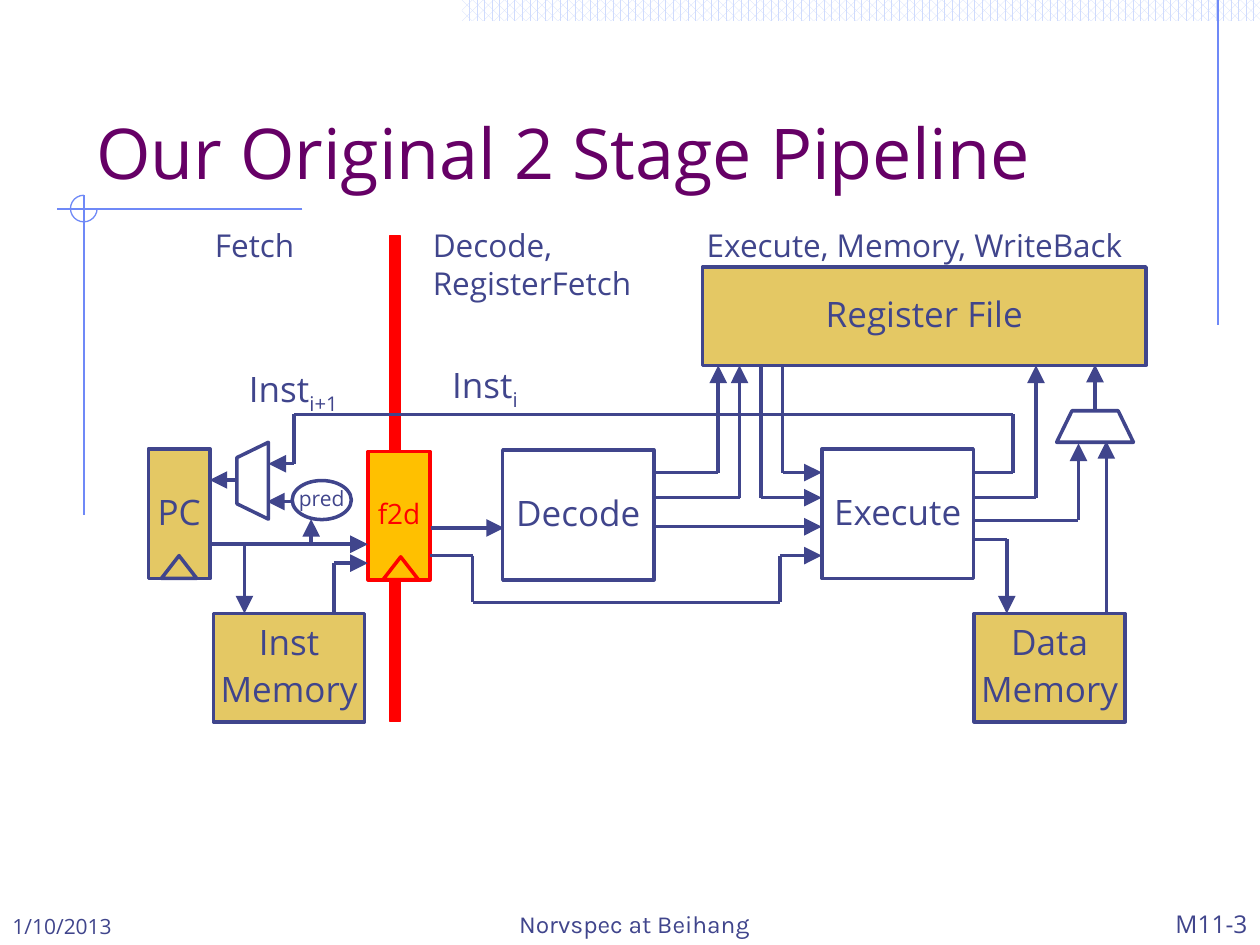
from lxml import etree
from pptx import Presentation
from pptx.dml.color import RGBColor
from pptx.enum.dml import MSO_PATTERN
from pptx.enum.shapes import MSO_CONNECTOR, MSO_SHAPE
from pptx.enum.text import MSO_ANCHOR, PP_ALIGN
from pptx.oxml.ns import qn
from pptx.util import Pt

RECT, OVAL, ARC = MSO_SHAPE.RECTANGLE, MSO_SHAPE.OVAL, MSO_SHAPE.ARC
TRI, MUX = MSO_SHAPE.ISOSCELES_TRIANGLE, MSO_SHAPE.FLOWCHART_MANUAL_OPERATION
STRAIGHT, HATCH = MSO_CONNECTOR.STRAIGHT, MSO_PATTERN.PERCENT_60
TOP, MIDDLE, BOTTOM = MSO_ANCHOR.TOP, MSO_ANCHOR.MIDDLE, MSO_ANCHOR.BOTTOM
LEFT, CENTER, RIGHT = PP_ALIGN.LEFT, PP_ALIGN.CENTER, PP_ALIGN.RIGHT
INK, GOLD, RED, AMBER = "40458C", "E4C864", "FF0000", "FFC000"
WHITE, PALE, BLUE, PLUM = "FFFFFF", "CFDBFD", "6F89F7", "660066"
SANS = "Open Sans"

BLOCKS = [
    (RECT, (84.8, 256.5, 35.3, 74.2), GOLD, INK, "PC", 20),
    (RECT, (287.3, 257.2, 86.4, 74.2), None, INK, "Decode", 20),
    (RECT, (401.5, 152.6, 253.4, 56.2), GOLD, INK, "Register File", 20),
    (RECT, (469.8, 256.5, 86.4, 74.2), None, INK, "Execute", 20),
    (RECT, (556.6, 350.6, 86.4, 61.9), GOLD, INK, "Data\nMemory", 20),
    (RECT, (122, 350.6, 86.4, 61.9), GOLD, INK, "Inst\nMemory", 20),
    (OVAL, (167, 274.6, 33.8, 22.3), None, INK, "pred", 12),
    (RECT, (210.4, 258, 35.3, 73.4), AMBER, RED, "f2d", 16),
]
PLAIN = [
    (MUX, (603.8, 234.7, 43.9, 18), WHITE, INK, 180),
    (MUX, (122.4, 265.7, 43.9, 18), WHITE, INK, 90),
    (TRI, (92.2, 317.5, 20.2, 13), None, INK, 0),
    (TRI, (218.9, 318.2, 20.2, 13), None, RED, 0),
]
WIRES = [
    [(245.5, 317.5), (270, 317.5), (270, 344.2), (445.6, 344.2),
     (445.6, 317.5), (469.6, 317.5)],
    [(373.7, 301), (469.6, 301)],
    [(447.2, 208.8), (447.2, 270), (469.6, 270)],
    [(434.9, 208.8), (434.9, 284.4), (469.6, 284.4)],
    [(120.3, 311), (210.2, 311)],
    [(139.7, 311), (139.7, 350.6)],
    [(190.8, 350.6), (190.8, 321.8), (210.2, 321.8)],
    [(556.2, 308.2), (575.3, 308.2), (575.3, 350.6)],
    [(373.7, 270), (410.4, 270), (410.4, 208.8)],
    [(373.7, 284.4), (422.6, 284.4), (422.6, 208.8)],
    [(632.2, 350.6), (632.2, 252)],
    [(625.7, 234), (625.7, 208.4)],
    [(556.6, 284.4), (592, 284.4), (592, 208.8)],
    [(556.2, 297.4), (616.3, 297.4), (616.3, 253.4)],
    [(177.8, 312), (177.8, 296.6)],
    [(135.4, 274.3), (119.8, 274.3)],
    [(167, 286.6), (152.6, 286.6)],
    [(556.6, 270), (578.9, 270), (578.9, 236.8), (168, 236.8),
     (168, 265), (153.4, 265)],
    [(246.2, 301.7), (288, 301.7)],
]
RULES = [
    [(696, 0), (696, 186)],
    [(172.8, 119.5), (32.4, 119.5)],
    [(48, 111.6), (48, 294.5)],
]
LABELS = [
    ((48, 24, 612, 90), "Our Original 2 Stage Pipeline", 40, PLUM, SANS, BOTTOM, LEFT),
    ((115.7, 125.6, 63.4, 28.8), "Fetch", 18, INK, SANS, TOP, LEFT),
    ((396.7, 125.6, 281.5, 28.8), "Execute, Memory, WriteBack", 18, INK, SANS, TOP, LEFT),
    ((240.2, 125.6, 137.5, 51.1), "Decode,\nRegisterFetch", 18, INK, SANS, TOP, LEFT),
    ((251.3, 204.2, 57.6, 31.7), "Inst_i", 20, INK, SANS, TOP, LEFT),
    ((135.2, 206.4, 77, 31.7), "Inst_i+1", 20, INK, SANS, TOP, LEFT),
    ((0, 504, 149.8, 36), "1/10/2013", 12, INK, SANS, BOTTOM, LEFT),
    ((244, 504, 237, 36), "Norvspec at Beihang", 14, INK, "Karla", BOTTOM, CENTER),
    ((570.2, 504, 149.8, 36), "M11-3", 14, INK, SANS, BOTTOM, RIGHT),
]


def tint(code):
    return RGBColor.from_string(code)


def put(item, vals):
    for name, val in vals.items():
        setattr(item, name, val)


def write(frame, text, size, color, font, para):
    for num, row in enumerate(text.split("\n")):
        line = frame.add_paragraph() if num else frame.paragraphs[0]
        put(line, para)
        for sub, part in enumerate(row.split("_")):
            run = line.add_run()
            run.text = part
            put(run.font, {"size": Pt(size), "name": font})
            run.font.color.rgb = tint(color)
            if sub:
                run.font._element.set("baseline", "-25000")


def shape(slide, kind, box, fill, line, width=2, turn=0):
    item = slide.shapes.add_shape(kind, *map(Pt, box))
    item.shadow.inherit = False
    item.rotation = turn
    if fill:
        item.fill.solid()
        item.fill.fore_color.rgb = tint(fill)
    else:
        item.fill.background()
    if line:
        item.line.color.rgb = tint(line)
        item.line.width = Pt(width)
    else:
        item.line.fill.background()
    return item


def block(slide, kind, box, fill, line, text, size):
    frame = shape(slide, kind, box, fill, line).text_frame
    put(frame, {"word_wrap": False, "vertical_anchor": MIDDLE})
    para = {"alignment": CENTER, "line_spacing": 0.9, "space_before": Pt(size / 4)}
    write(frame, text, size, RED if line == RED else INK, SANS, para)


def label(slide, box, text, size, color, font, anchor, align):
    frame = slide.shapes.add_textbox(*map(Pt, box)).text_frame
    put(frame, {"word_wrap": True, "vertical_anchor": anchor})
    write(frame, text, size, color, font, {"alignment": align})


def wire(slide, dots, color=INK, width=2, arrow=True):
    for start, end in zip(dots, dots[1:]):
        item = slide.shapes.add_connector(STRAIGHT, *map(Pt, start + end))
        item.line.color.rgb = tint(color)
        item.line.width = Pt(width)
        if arrow and end == dots[-1]:
            tail = etree.SubElement(item.line._get_or_add_ln(), qn("a:tailEnd"))
            for name, val in {"type": "triangle", "w": "lg", "len": "lg"}.items():
                tail.set(name, val)
        etree.SubElement(item._element.spPr, qn("a:effectLst"))


def decor(slide):
    band = shape(slide, RECT, (264, 0, 456, 12), None, None)
    band.fill.patterned()
    band.fill.pattern = HATCH
    band.fill.fore_color.rgb = tint(PALE)
    band.fill.back_color.rgb = tint(WHITE)
    for dots in RULES:
        wire(slide, dots, BLUE, 0.75, False)
    arc = shape(slide, ARC, (40.3, 111.6, 15.2, 15.2), None, BLUE, 0.75)
    arc.adjustments[0] = 0
    arc.adjustments[1] = 162


def main():
    deck = Presentation()
    put(deck, {"slide_width": Pt(720), "slide_height": Pt(540)})
    slide = deck.slides.add_slide(deck.slide_layouts[6])
    decor(slide)
    shape(slide, RECT, (222.5, 134.9, 6.5, 277.2), RED, RED, 0.75)
    for row in BLOCKS:
        block(slide, *row)
    for kind, box, fill, line, turn in PLAIN:
        shape(slide, kind, box, fill, line, turn=turn)
    for dots in WIRES:
        wire(slide, dots)
    for row in LABELS:
        label(slide, *row)
    deck.save("out.pptx")


main()
